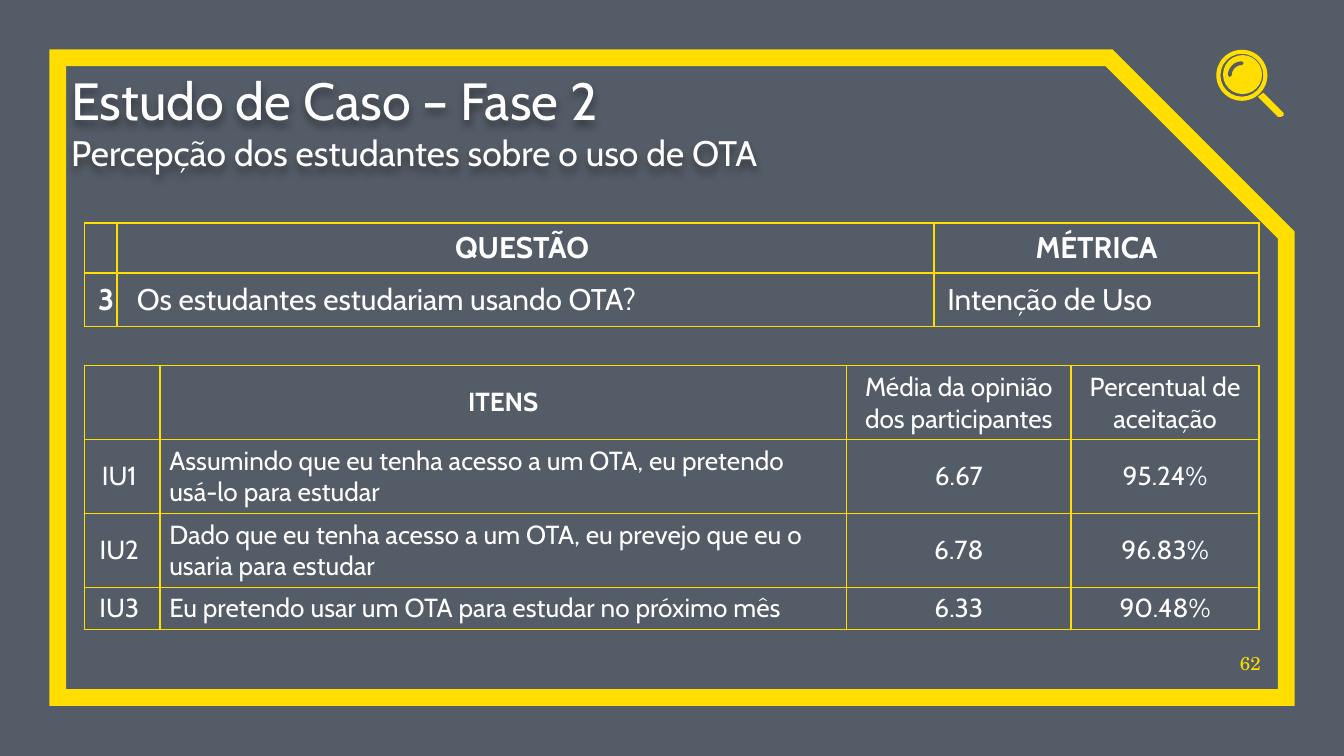
from dataclasses import dataclass

from lxml.etree import SubElement
from pptx import Presentation
from pptx.dml.color import RGBColor
from pptx.enum.shapes import MSO_SHAPE
from pptx.enum.text import MSO_ANCHOR, MSO_AUTO_SIZE, PP_ALIGN
from pptx.oxml.ns import qn
from pptx.util import Inches, Pt


@dataclass(frozen=True)
class Theme:
    background: RGBColor = RGBColor(0x54, 0x5C, 0x67)
    accent: RGBColor = RGBColor(0xFF, 0xDE, 0x00)
    text: RGBColor = RGBColor(0xFF, 0xFF, 0xFF)
    font: str = "Cabin"
    number_font: str = "TeX Gyre Schola"
    title_size: int = 28
    subtitle_size: int = 19
    question_size: int = 16
    item_size: int = 14
    number_size: int = 10


THEME = Theme()

QUESTION_ROWS = [
    ["", "QUESTÃO ", "MÉTRICA"],
    ["3", " Os estudantes estudariam usando OTA?", "Intenção de Uso"],
]
ITEM_ROWS = [
    ["", "ITENS", "Média da opinião\ndos participantes", "Percentual de\naceitação"],
    ["IU1 ", "Assumindo que eu tenha acesso a um OTA, eu pretendo usá-lo para estudar",
     "6.67", "95.24%"],
    ["IU2 ", "Dado que eu tenha acesso a um OTA, eu prevejo que eu o usaria para estudar",
     "6.78", "96.83%"],
    ["IU3 ", "Eu pretendo usar um OTA para estudar no próximo mês", "6.33", "90.48%"],
]


def style_paragraph(paragraph, size, color=THEME.text, name=THEME.font,
                    bold=False, align=PP_ALIGN.LEFT):
    paragraph.alignment = align
    font = paragraph.font
    font.size, font.name, font.bold = Pt(size), name, bold
    font.color.rgb = color


def clear_insets(frame):
    frame.margin_left = frame.margin_right = frame.margin_top = frame.margin_bottom = 0
    frame.vertical_anchor = MSO_ANCHOR.BOTTOM
    frame.word_wrap = True


def add_text_shadow(shape):
    effects = SubElement(shape._element.spPr, qn("a:effectLst"))
    shadow = SubElement(effects, qn("a:outerShdw"), blurRad="50800", dist="38100",
                        dir="5400000", algn="t", rotWithShape="0")
    color = SubElement(shadow, qn("a:srgbClr"), val="000000")
    SubElement(color, qn("a:alpha"), val="40000")


def set_title(slide):
    title = slide.shapes.title
    title.left, title.top = Inches(0.53), Inches(0.54)
    title.width, title.height = Inches(8.41), Inches(0.75)
    frame = title.text_frame
    clear_insets(frame)
    frame.auto_size = MSO_AUTO_SIZE.NONE
    frame.text = "Estudo de Caso – Fase 2\nPercepção dos estudantes sobre o uso de OTA"
    for paragraph, size in zip(frame.paragraphs, (THEME.title_size, THEME.subtitle_size)):
        style_paragraph(paragraph, size)
    add_text_shadow(title)


def add_slide_number(slide):
    box = slide.shapes.add_textbox(Inches(9.11), Inches(4.74), Inches(0.27), Inches(0.28))
    clear_insets(box.text_frame)
    box.text_frame.text = "62"
    style_paragraph(box.text_frame.paragraphs[0], THEME.number_size, THEME.accent,
                    THEME.number_font, align=PP_ALIGN.RIGHT)


def add_outline(shapes, kind, left, top, width, height, color, weight):
    shape = shapes.add_shape(kind, Inches(left), Inches(top), Inches(width), Inches(height))
    shape.shadow.inherit = False
    shape.fill.background()
    shape.line.color.rgb = color
    shape.line.width = Pt(weight)
    return shape


def fill_accent(shape):
    shape.shadow.inherit = False
    shape.fill.solid()
    shape.fill.fore_color.rgb = THEME.accent
    shape.line.fill.background()


def add_frame(slide):
    frame = add_outline(slide.shapes, MSO_SHAPE.SNIP_1_RECTANGLE,
                        0.43, 0.43, 9.14, 4.76, THEME.accent, 9)
    frame.adjustments[0] = 0.277
    SubElement(frame.line._get_or_add_ln(), qn("a:miter"), lim="800000")


def add_magnifier(slide):
    shapes = slide.shapes.add_group_shape().shapes
    rim = shapes.add_shape(MSO_SHAPE.DONUT, Inches(9.05), Inches(0.37),
                           Inches(0.38), Inches(0.38))
    rim.adjustments[0] = 0.08
    lens = shapes.add_shape(MSO_SHAPE.OVAL, Inches(9.1), Inches(0.41),
                            Inches(0.29), Inches(0.29))
    outline = [(9.4, 0.69), (9.36, 0.72), (9.51, 0.87), (9.53, 0.87),
               (9.55, 0.86), (9.55, 0.84)]
    start, *others = [(Inches(x), Inches(y)) for x, y in outline]
    builder = shapes.build_freeform(*start)
    builder.add_line_segments(others)
    handle = builder.convert_to_shape()
    for part in (rim, lens, handle):
        fill_accent(part)

    glint = add_outline(shapes, MSO_SHAPE.ARC, 9.15, 0.47, 0.18, 0.18, THEME.background, 2)
    # Angles are in 60000ths of a degree, divided by 100000: 180 to 270 degrees
    glint.adjustments[0], glint.adjustments[1] = 108, 162
    glint.line._get_or_add_ln().set("cap", "rnd")


def set_borders(cell):
    properties = cell._tc.get_or_add_tcPr()
    for side in ("lnL", "lnR", "lnT", "lnB"):
        line = SubElement(properties, qn(f"a:{side}"), w=str(Pt(1)))
        fill = SubElement(line, qn("a:solidFill"))
        SubElement(fill, qn("a:srgbClr"), val=str(THEME.accent))


def add_grid(slide, top, rows, widths, heights, size, insets, left_columns, bold_cells):
    """Add a bordered table; left_columns are left-aligned below the header row."""
    table = slide.shapes.add_table(len(rows), len(widths), Inches(0.63), Inches(top),
                                   Inches(sum(widths)), Inches(sum(heights))).table
    table.first_row = table.horz_banding = False
    for column, width in zip(table.columns, widths):
        column.width = Inches(width)
    for row, height in zip(table.rows, heights):
        row.height = Inches(height)
    side, end = insets
    for i, values in enumerate(rows):
        for j, value in enumerate(values):
            cell = table.cell(i, j)
            set_borders(cell)
            cell.fill.background()
            cell.vertical_anchor = MSO_ANCHOR.MIDDLE
            cell.margin_left = cell.margin_right = Inches(side)
            cell.margin_top = cell.margin_bottom = Inches(end)
            cell.text = value
            align = PP_ALIGN.LEFT if i and j in left_columns else PP_ALIGN.CENTER
            for paragraph in cell.text_frame.paragraphs:
                style_paragraph(paragraph, size, bold=(i, j) in bold_cells, align=align)


def main():
    deck = Presentation()
    deck.slide_width = Inches(10)
    deck.slide_height = deck.slide_width * 9 // 16
    slide = deck.slides.add_slide(deck.slide_layouts[5])
    slide.background.fill.solid()
    slide.background.fill.fore_color.rgb = THEME.background

    add_frame(slide)
    add_slide_number(slide)
    add_magnifier(slide)
    set_title(slide)
    add_grid(slide, 1.66, QUESTION_ROWS, [0.24, 6.08, 2.42], [0.37, 0.4],
             THEME.question_size, (0.1, 0.05), {1, 2}, {(0, 1), (0, 2), (1, 0)})
    add_grid(slide, 2.72, ITEM_ROWS, [0.56, 5.11, 1.67, 1.4], [0.55, 0.55, 0.55, 0.31],
             THEME.item_size, (0.07, 0.04), {1}, {(0, 1)})
    deck.save("out.pptx")


if __name__ == "__main__":
    main()
